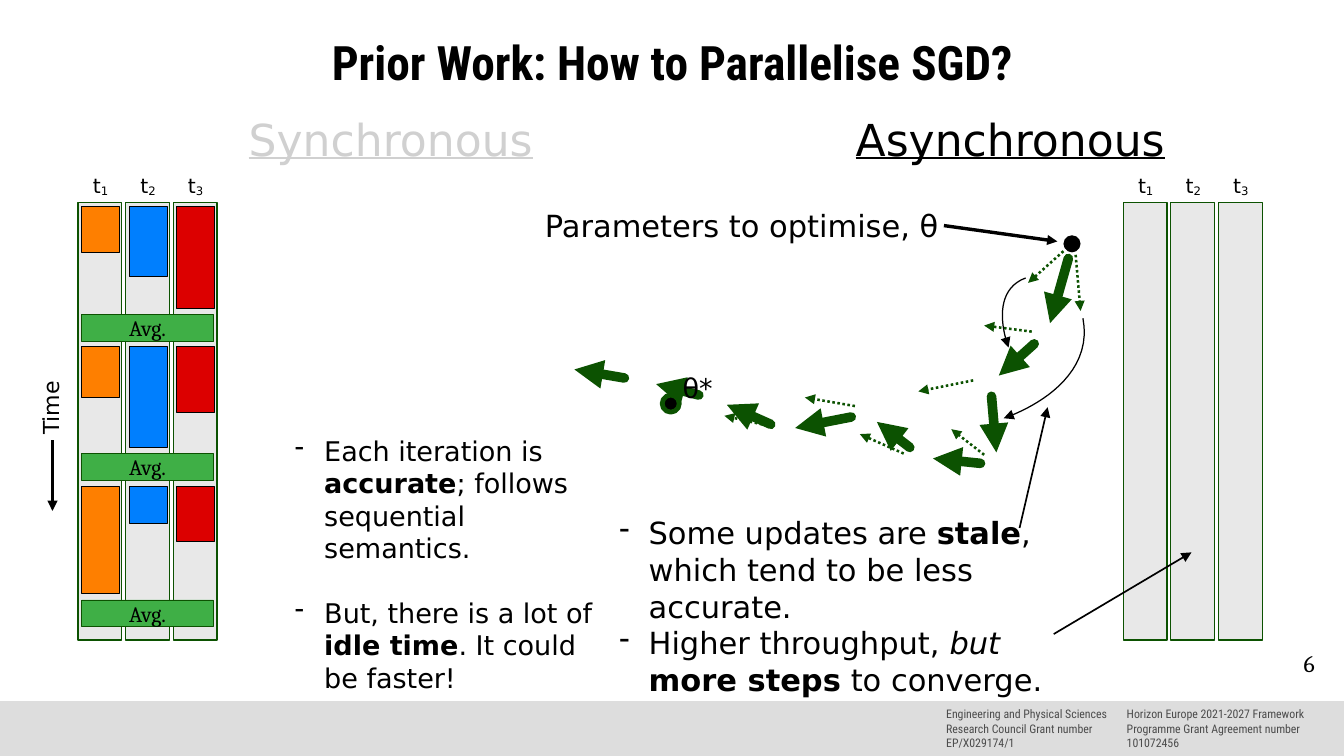
from lxml import etree
from pptx import Presentation
from pptx.dml.color import RGBColor
from pptx.enum.dml import MSO_LINE
from pptx.enum.shapes import MSO_CONNECTOR, MSO_SHAPE
from pptx.enum.text import MSO_ANCHOR, PP_ALIGN
from pptx.oxml.ns import qn
from pptx.util import Inches, Pt

RECT, OVAL = MSO_SHAPE.RECTANGLE, MSO_SHAPE.OVAL
STRAIGHT, DOTTED = MSO_CONNECTOR.STRAIGHT, MSO_LINE.ROUND_DOT
LEFT, CENTER, RIGHT = PP_ALIGN.LEFT, PP_ALIGN.CENTER, PP_ALIGN.RIGHT
TOP, MIDDLE = MSO_ANCHOR.TOP, MSO_ANCHOR.MIDDLE

BLACK = RGBColor(0x00, 0x00, 0x00)
FADED = RGBColor(0xD0, 0xD0, 0xD0)
FOOTER = RGBColor(0xDD, 0xDD, 0xDD)
FOOTER_TEXT = RGBColor(0x4C, 0x4C, 0x4C)
LANE = RGBColor(0xE8, 0xE8, 0xE8)
DARK_GREEN = RGBColor(0x0C, 0x52, 0x01)
GREEN = RGBColor(0x3F, 0xAF, 0x46)
ORANGE = RGBColor(0xFE, 0x7F, 0x00)
BLUE = RGBColor(0x00, 0x7F, 0xFE)
RED = RGBColor(0xDC, 0x00, 0x00)

SANS, SERIF, CONDENSED = "DejaVu Sans", "Cambria", "Roboto Condensed"

# The slide is a grid of square cells; every length below counts cells.
CELL = Inches(0.01)
COLS, ROWS = 1102, 620

prs = Presentation()
prs.slide_width, prs.slide_height = COLS * CELL, ROWS * CELL
s = prs.slides.add_slide(prs.slide_layouts[6])


def add(x, y, w, h, kind=None, fill=None, line=None, width=0.43):
    """Add a preset shape, or a text box when no kind is given."""
    box = [round(v * CELL) for v in (x, y, w, h)]
    if kind is None:
        return s.shapes.add_textbox(*box)
    sp = s.shapes.add_shape(kind, *box)
    sp.shadow.inherit = False
    sp.fill.solid()
    sp.fill.fore_color.rgb = fill
    if line is None:
        sp.line.fill.background()
    else:
        sp.line.color.rgb = line
        sp.line.width = Pt(width)
    return sp


def write(sp, *paragraphs, size=18, font=SANS, color=BLACK, align=LEFT, anchor=TOP,
          inset=None, wrap=True, bold=False, underline=False, bullet=None, gap=0):
    """Fill a shape; a paragraph is a list of (text, style), style in '', 'b', 'i', 'sub'."""
    tf = sp.text_frame
    tf.word_wrap = wrap
    tf.vertical_anchor = anchor
    if inset is not None:
        tf.margin_left = tf.margin_top = tf.margin_right = tf.margin_bottom = inset
    for i, runs in enumerate(paragraphs):
        p = tf.add_paragraph() if i else tf.paragraphs[0]
        p.alignment = align
        if bullet:
            pPr = p._p.get_or_add_pPr()
            pPr.set("marL", str(24 * CELL))
            pPr.set("indent", str(-24 * CELL))
            etree.SubElement(pPr, qn("a:buChar")).set("char", bullet)
        if i and gap:
            p.space_before = Pt(gap)
        for text, style in runs:
            r = p.add_run()
            r.text = text
            r.font.name, r.font.size = font, Pt(size)
            r.font.color.rgb = color
            r.font.bold = bold or style == "b"
            r.font.italic = style == "i"
            r.font.underline = underline
            if style == "sub":
                r._r.get_or_add_rPr().set("baseline", "-8000")


# Footer
add(0, 575, COLS, 45, RECT, FOOTER)
for x, w, grant in [
    (766, 153, "Engineering and Physical Sciences Research Council Grant number EP/X029174/1"),
    (914, 188, "Horizon Europe 2021-2027 Framework Programme Grant Agreement number 101072456"),
]:
    write(add(x, 575, w, 45), [(grant, "")], size=7, font=CONDENSED, color=FOOTER_TEXT)
write(add(821, 532, 257, 43), [("6", "")], size=14, font=SERIF, align=RIGHT, inset=0)

# Title and column headings
write(add(55, 13, 992, 75), [("Prior Work: How to Parallelise SGD?", "")],
      size=28, font=CONDENSED, align=CENTER, anchor=MIDDLE, inset=0, bold=True)
for x, heading, color in [(102, "Synchronous", FADED), (610, "Asynchronous", BLACK)]:
    write(add(x, 92, 437, 42), [(heading, "")], size=26, color=color,
          align=CENTER, inset=0, underline=True)

# Thread lanes on both sides
LANE_STEP, LANE_LEFT = 39, 64
for left in (LANE_LEFT, 921):
    for i in range(3):
        x = left + i * LANE_STEP
        add(x, 166, 36, 359, RECT, LANE, DARK_GREEN, 0)
        write(add(x + 2, 137, 33, 32), [("t", ""), (str(i + 1), "sub")],
              size=12, align=CENTER, wrap=False)

# Synchronous rounds: start, task lengths by thread, start of averaging
for start, tasks, average in [
    (169, (38, 58, 84), 258),
    (284, (42, 83, 54), 372),
    (399, (88, 30, 45), 492),
]:
    for i, (length, color) in enumerate(zip(tasks, (ORANGE, BLUE, RED))):
        add(LANE_LEFT + 3 + i * LANE_STEP, start, 31, length, RECT, color, BLACK)
    write(add(LANE_LEFT + 3, average, 108, 22, RECT, GREEN, DARK_GREEN), [("Avg.", "")],
          size=13, font=SERIF, align=CENTER, anchor=MIDDLE)

time = add(9, 319, 64, 31)
time.rotation = 270
write(time, [("Time", "")], size=13, wrap=False)
write(add(437, 165, 343, 39), [("Parameters to optimise, θ", "")], wrap=False)

# Arrows: each group shares colour, width and dash; ends are x1, y1, x2, y2
arrows = []
for color, width, dash, ends in [
    (BLACK, 0, None, [(774, 185, 867, 198), (43, 361, 43, 419)]),
    (DARK_GREEN, 1.5, DOTTED, [
        (872, 206, 843, 232), (882, 209, 886, 255), (846, 272, 807, 267),
        (798, 312, 753, 321), (807, 373, 780, 352), (741, 372, 705, 356),
        (701, 333, 660, 326), (629, 349, 594, 341)]),
    (DARK_GREEN, 5.67, None, [
        (876, 212, 861, 265), (848, 282, 819, 308), (813, 325, 817, 371),
        (804, 380, 765, 376), (746, 367, 719, 346), (698, 342, 652, 351),
        (632, 348, 596, 332), (573, 324, 538, 315), (512, 310, 471, 303)]),
    (BLACK, 1, None, [(836, 433, 859, 334), (864, 520, 977, 453)]),
]:
    for end in ends:
        cxn = s.shapes.add_connector(STRAIGHT, *[v * CELL for v in end])
        etree.SubElement(cxn._element.spPr, qn("a:effectLst"))
        arrows.append((cxn, color, width, dash))

# Curved arrows from a gradient to the step that applies it: cubic Bézier points
STEPS = 24
for curve in [
    ((841, 228), (809, 240), (827, 285), (827, 285)),
    ((888, 261), (899, 319), (823, 343), (823, 343)),
]:
    points = []
    for t in [k / STEPS for k in range(STEPS + 1)]:
        weights = ((1 - t) ** 3, 3 * t * (1 - t) ** 2, 3 * t * t * (1 - t), t ** 3)
        points.append([round(CELL * sum(b * v for b, v in zip(weights, axis)))
                       for axis in zip(*curve)])
    fb = s.shapes.build_freeform(*points[0])
    fb.add_line_segments(points[1:], close=False)
    sp = fb.convert_to_shape()
    sp.shadow.inherit = False
    sp.fill.background()
    arrows.append((sp, BLACK, 0, None))

for sp, color, width, dash in arrows:
    sp.line.color.rgb = color
    sp.line.width = Pt(width)
    if dash:
        sp.line.dash_style = dash
    ln = sp.line._get_or_add_ln()
    if width > 5:
        ln.set("cap", "rnd")
    etree.SubElement(ln, qn("a:tailEnd")).set("type", "triangle")

# Start and optimum
add(872, 193, 14, 14, OVAL, BLACK)
add(543, 324, 14, 14, OVAL, BLACK, DARK_GREEN, 2.83)
write(add(550, 300, 53, 60), [("θ*", "")], size=16)

# Remarks
write(add(498, 417, 379, 158),
      [("Some updates are ", ""), ("stale", "b"), (", which tend to be less accurate.", "")],
      [("Higher throughput, ", ""), ("but ", "i"), ("more steps", "b"), (" to converge.", "")],
      size=18, bullet="-")
write(add(232, 351, 275, 215),
      [("Each iteration is ", ""), ("accurate", "b"), ("; follows sequential semantics.", "")],
      [("But, there is a lot of ", ""), ("idle time", "b"), (". It could be faster!", "")],
      size=16, bullet="-", gap=19)

prs.save("out.pptx")
